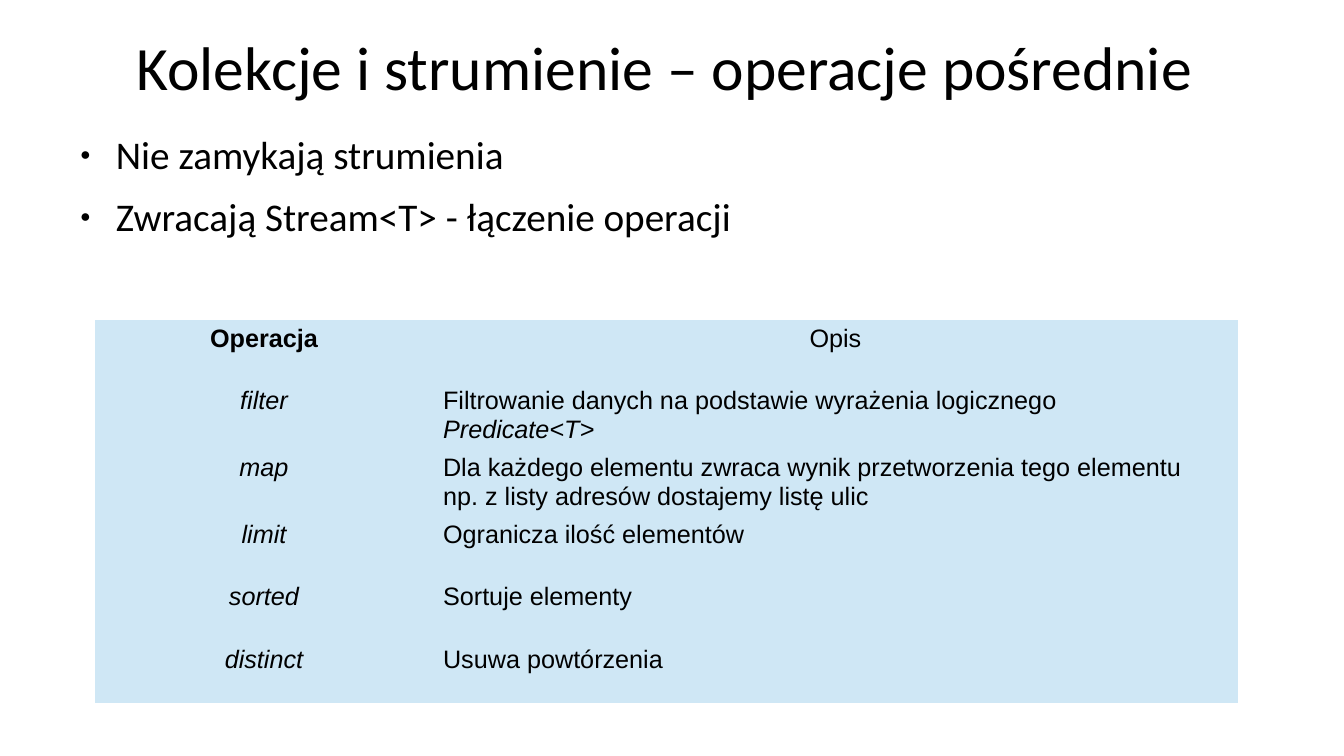
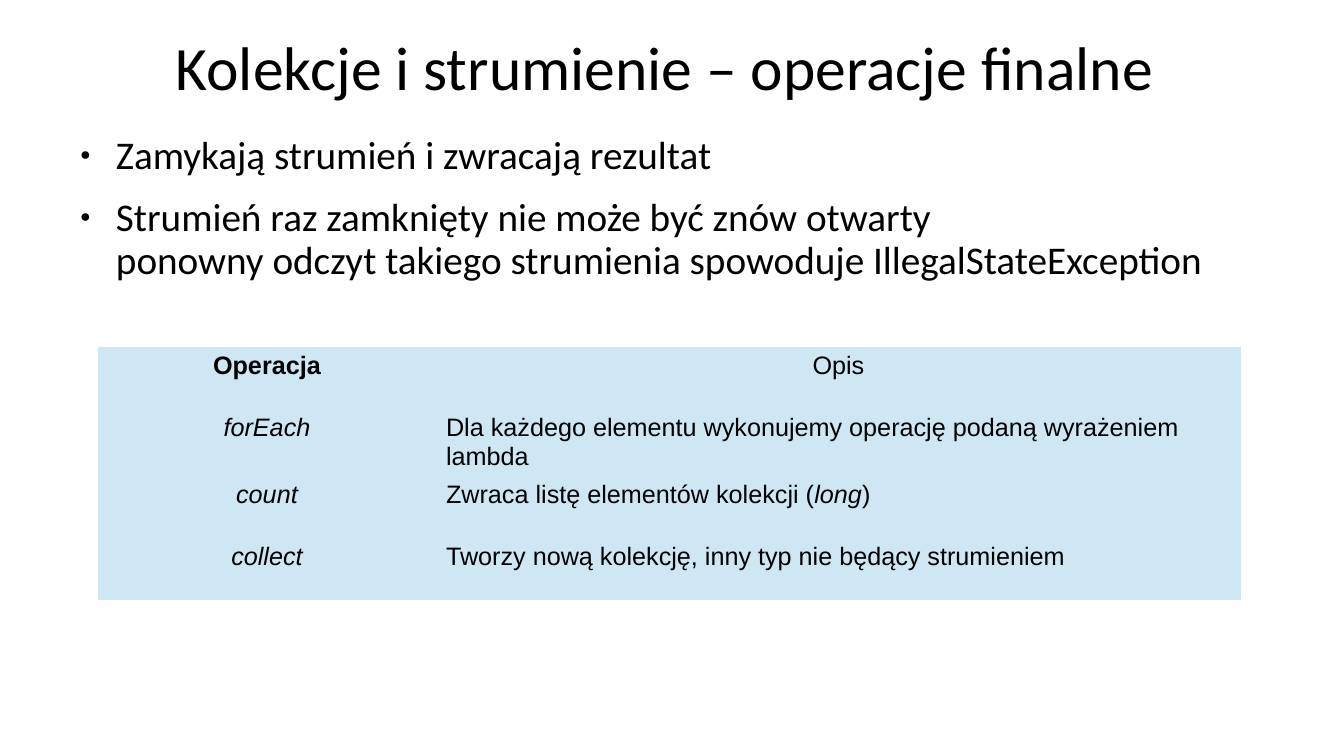
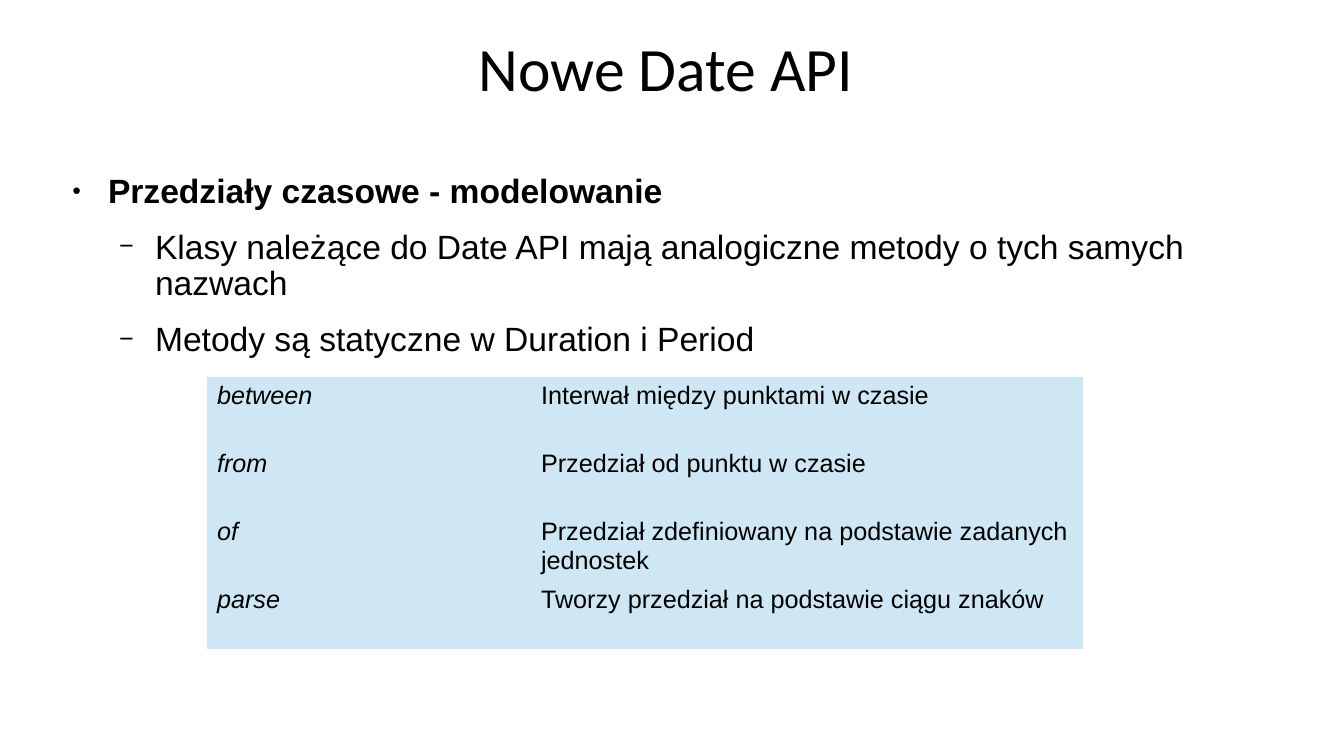
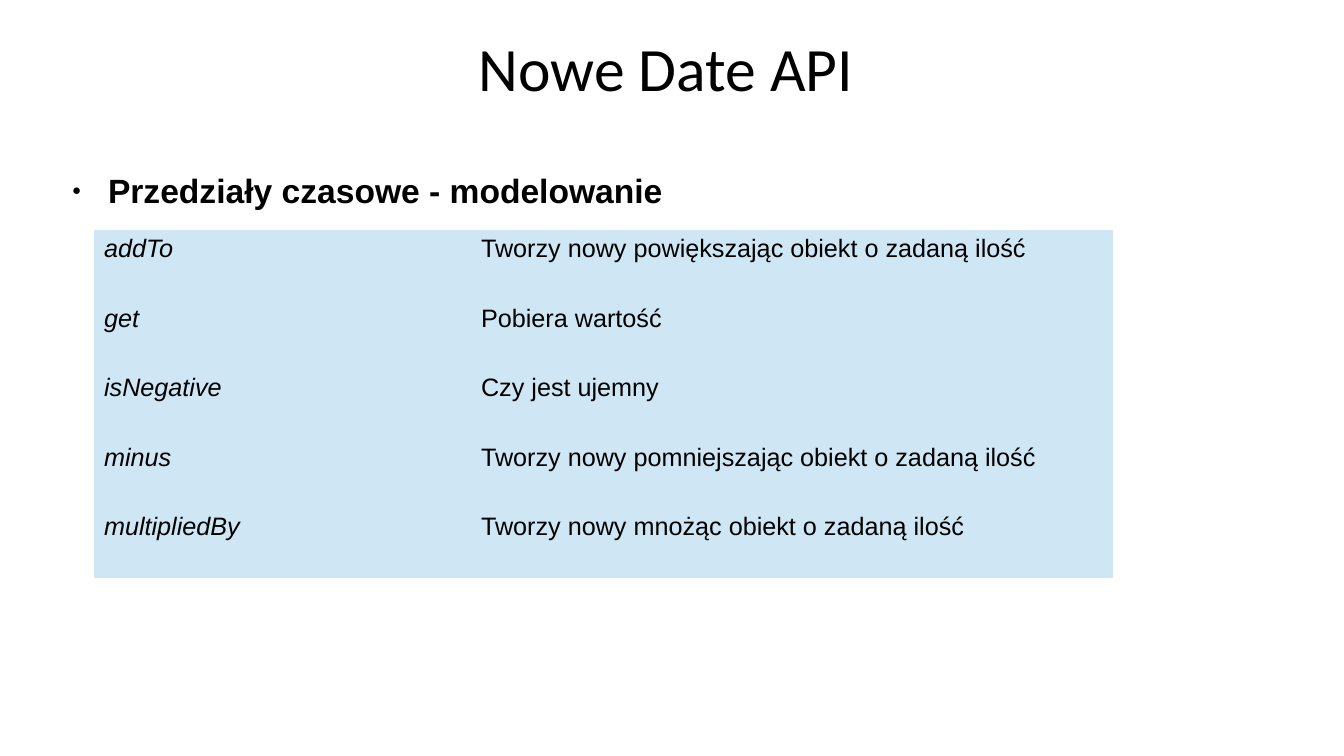
from pptx import Presentation
from pptx.dml.color import RGBColor
from pptx.enum.text import MSO_ANCHOR, MSO_AUTO_SIZE, PP_ALIGN
from pptx.oxml import parse_xml
from pptx.oxml.ns import nsdecls, qn
from pptx.util import Emu, Pt

CENTER, LEFT = PP_ALIGN.CENTER, PP_ALIGN.LEFT
MIDDLE, TOP = MSO_ANCHOR.MIDDLE, MSO_ANCHOR.TOP
NO_FIT = MSO_AUTO_SIZE.NONE
SCALE = 914400 / 100.8
BLACK, PALE_BLUE = "000000", "CFE7F5"
PLAIN_TABLE = "{2D5ABB26-0587-4C30-8999-92F81FD0307C}"

STREAMS = {
    "title_box": (60, 39, 1210, 63),
    "list_box": (68, 136, 1210, 538),
    "list_font": {"name": "Calibri", "size": Pt(28)},
}
DATES = {
    "title_box": (93, 40, 1146, 63),
    "list_box": (60, 174, 1210, 476),
    "list_font": {"name": "Arial", "size": Pt(24)},
}
HEADER = ("Operacja", "Opis")
INTERVALS = (0, "Przedziały czasowe - modelowanie", True)

SLIDES = [
    {
        "theme": STREAMS,
        "title": "Kolekcje i strumienie – operacje pośrednie",
        "points": [
            (0, "Nie zamykają strumienia", False),
            (0, "Zwracają Stream<T> - łączenie operacji", False),
        ],
        "corner": (95, 320),
        "columns": (338, 805),
        "heights": (62, 67, 67, 62, 63, 62),
        "header": HEADER,
        "operations": [
            ("filter", "Filtrowanie danych na podstawie wyrażenia logicznego\n*Predicate<T>*"),
            ("map", "Dla każdego elementu zwraca wynik przetworzenia tego elementu\n"
                    "np. z listy adresów dostajemy listę ulic"),
            ("limit", "Ogranicza ilość elementów"),
            ("sorted", "Sortuje elementy"),
            ("distinct", "Usuwa powtórzenia"),
        ],
    },
    {
        "theme": STREAMS,
        "title": "Kolekcje i strumienie – operacje finalne",
        "points": [
            (0, "Zamykają strumień i zwracają rezultat", False),
            (0, "Strumień raz zamknięty nie może być znów otwarty\v"
                "ponowny odczyt takiego strumienia spowoduje IllegalStateException", False),
        ],
        "corner": (98, 347),
        "columns": (338, 805),
        "heights": (62, 66, 62, 62),
        "header": HEADER,
        "operations": [
            ("forEach", "Dla każdego elementu wykonujemy operację podaną wyrażeniem lambda"),
            ("count", "Zwraca listę elementów kolekcji (*long*)"),
            ("collect", "Tworzy nową kolekcję, inny typ nie będący strumieniem"),
        ],
    },
    {
        "theme": DATES,
        "title": "Nowe Date API",
        "points": [
            INTERVALS,
            (1, "Klasy należące do Date API mają analogiczne metody o tych samych nazwach", False),
            (1, "Metody są statyczne w Duration i Period", False),
        ],
        "corner": (207, 377),
        "columns": (324, 552),
        "heights": (68, 68, 68, 68),
        "header": None,
        "operations": [
            ("between", "Interwał między punktami w czasie"),
            ("from", "Przedział od punktu w czasie"),
            ("of", "Przedział zdefiniowany na podstawie zadanych jednostek"),
            ("parse", "Tworzy przedział na podstawie ciągu znaków"),
        ],
    },
    {
        "theme": DATES,
        "title": "Nowe Date API",
        "points": [INTERVALS],
        "corner": (94, 230),
        "columns": (377, 642),
        "heights": (70, 69, 70, 69, 70),
        "header": None,
        "operations": [
            ("addTo", "Tworzy nowy powiększając obiekt o zadaną ilość"),
            ("get", "Pobiera wartość"),
            ("isNegative", "Czy jest ujemny"),
            ("minus", "Tworzy nowy pomniejszając obiekt o zadaną ilość"),
            ("multipliedBy", "Tworzy nowy mnożąc obiekt o zadaną ilość"),
        ],
    },
]

BULLETS = [("●", 45, 48), ("−", 75, 95)]
HANG = 36


def px(length):
    return Emu(round(length * SCALE))


def color(value):
    return RGBColor.from_string(value)


def assign(target, values):
    for key, value in values.items():
        setattr(target, key, value)


def place(shape, box):
    assign(shape, dict(zip(("left", "top", "width", "height"), map(px, box))))


def style_font(font, values):
    assign(font, values)
    font.color.rgb = color(BLACK)


def set_list_style(placeholder):
    levels = "".join(
        f'<a:lvl{number}pPr marL="{px(margin)}" indent="{-px(HANG)}" algn="l">'
        '<a:lnSpc><a:spcPct val="90000"/></a:lnSpc>'
        '<a:spcBef><a:spcPts val="0"/></a:spcBef>'
        '<a:spcAft><a:spcPts val="1410"/></a:spcAft>'
        f'<a:buClr><a:srgbClr val="{BLACK}"/></a:buClr>'
        f'<a:buSzPct val="{percent * 1000}"/><a:buChar char="{mark}"/>'
        '<a:defRPr sz="2800"><a:latin typeface="Calibri"/></a:defRPr>'
        f'</a:lvl{number}pPr>'
        for number, (mark, percent, margin) in enumerate(BULLETS, 1)
    )
    body = placeholder.text_frame._txBody
    style = parse_xml(f'<a:lstStyle {nsdecls("a")}>{levels}</a:lstStyle>')
    body.replace(body.find(qn("a:lstStyle")), style)


def add_title(slide, text, box):
    place(slide.shapes.title, box)
    frame = slide.shapes.title.text_frame
    frame.text = text
    assign(frame, {"auto_size": NO_FIT, "vertical_anchor": MIDDLE})
    paragraph = frame.paragraphs[0]
    assign(paragraph, {"alignment": CENTER, "line_spacing": 0.9})
    style_font(paragraph.runs[0].font, {"name": "Calibri", "size": Pt(44)})


def add_points(slide, points, theme):
    place(slide.placeholders[1], theme["list_box"])
    frame = slide.placeholders[1].text_frame
    assign(frame, {"auto_size": NO_FIT, "vertical_anchor": TOP, "margin_left": 0,
                   "margin_right": 0, "margin_top": 0, "margin_bottom": 0})
    for index, (level, text, bold) in enumerate(points):
        paragraph = frame.add_paragraph() if index else frame.paragraphs[0]
        assign(paragraph, {"text": text, "level": level})
        for run in paragraph.runs:
            style_font(run.font, {**theme["list_font"], "bold": bold})


def fill_cell(cell, text, alignment, bold):
    cell.fill.solid()
    cell.fill.fore_color.rgb = color(PALE_BLUE)
    frame = cell.text_frame
    for index, line in enumerate(text.split("\n")):
        paragraph = frame.add_paragraph() if index else frame.paragraphs[0]
        paragraph.alignment = alignment
        for part, words in enumerate(line.split("*")):
            if words:
                run = paragraph.add_run()
                run.text = words
                style_font(run.font, {"name": "Arial", "size": Pt(18),
                                      "bold": bold, "italic": part % 2 == 1})


def add_operations(slide, content):
    header, columns, heights = (content[key] for key in ("header", "columns", "heights"))
    rows = [(f"*{name}*", description) for name, description in content["operations"]]
    if header:
        rows.insert(0, header)
    box = map(px, (*content["corner"], sum(columns), sum(heights)))
    table = slide.shapes.add_table(len(rows), len(columns), *box).table
    assign(table, {"first_row": False, "horz_banding": False})
    table._tbl.tblPr.find(qn("a:tableStyleId")).text = PLAIN_TABLE
    for column, width in zip(table.columns, columns):
        column.width = px(width)
    for r, (row, height) in enumerate(zip(rows, heights)):
        table.rows[r].height = px(height)
        for c, text in enumerate(row):
            in_header = row is header
            centered = in_header or (header and c == 0)
            fill_cell(table.cell(r, c), text, CENTER if centered else LEFT, in_header and c == 0)


deck = Presentation()
assign(deck, {"slide_width": px(1344), "slide_height": px(756)})
layout = deck.slide_layouts[1]
set_list_style(layout.placeholders[1])

for content in SLIDES:
    slide = deck.slides.add_slide(layout)
    add_title(slide, content["title"], content["theme"]["title_box"])
    add_points(slide, content["points"], content["theme"])
    add_operations(slide, content)

deck.save("out.pptx")
